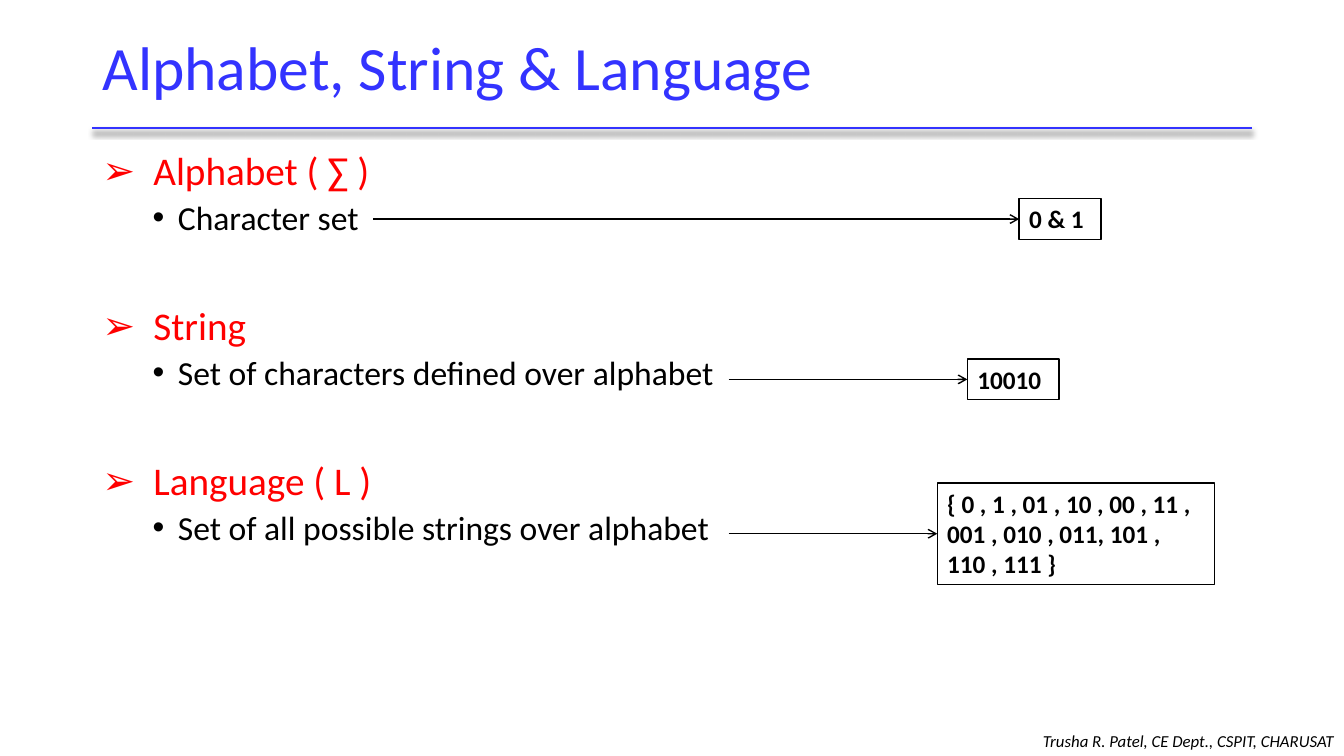
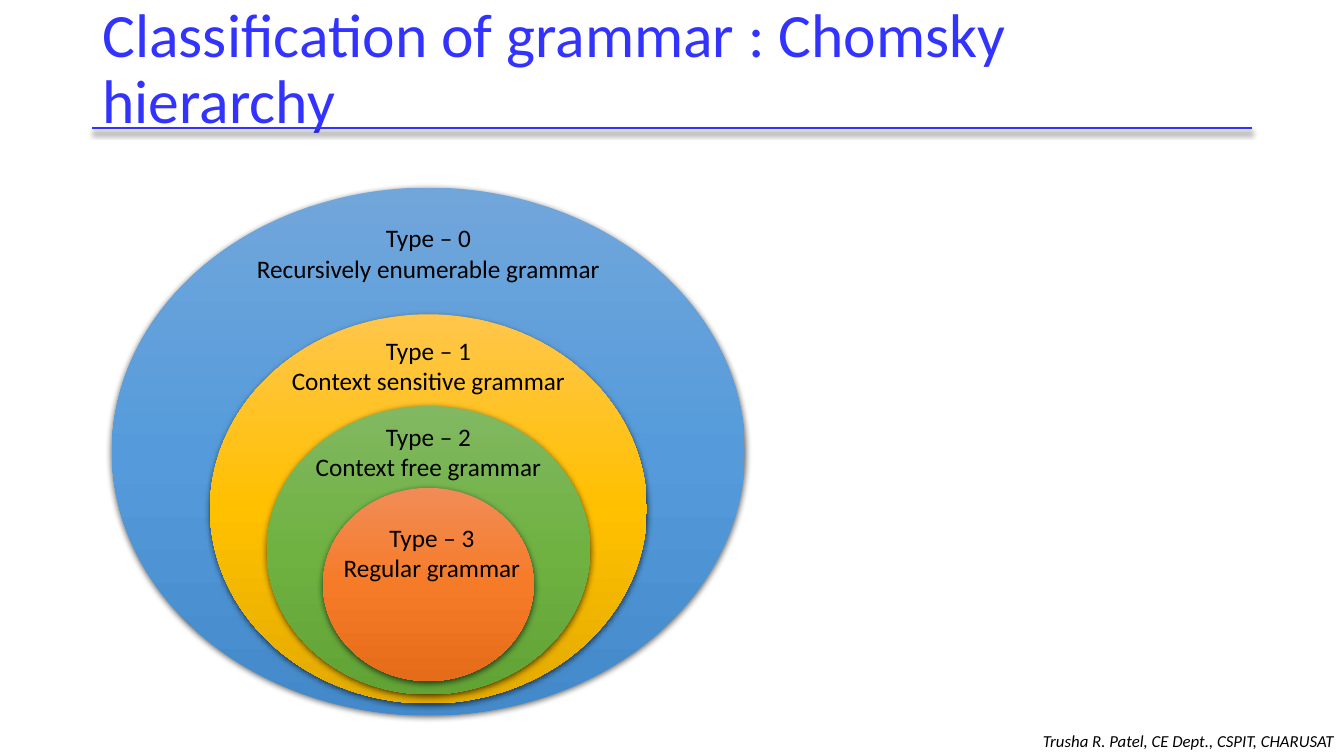
from copy import deepcopy

from lxml import etree
from pptx import Presentation
from pptx.dml.color import RGBColor
from pptx.enum import shapes, text
from pptx.oxml.ns import qn
from pptx.util import Pt

FONT = "Calibri"
BLUE, RED, BLACK, WHITE = "3333FF", "FF0000", "000000", "FFFFFF"
RULE_LEFT, RULE_WIDTH, RULE_TOP = 66, 828, 91.5
FOOTER = "Trusha R. Patel, CE Dept., CSPIT, CHARUSAT"

# heading, explanation
TERMS = [
    ("Alphabet ( ∑ )", "Character set"),
    ("String", "Set of characters defined over alphabet"),
    ("Language ( L )", "Set of all possible strings over alphabet"),
]
# example, left, top, width, height, arrow start
EXAMPLES = [
    ("0 & 1", 728, 142, 58.5, 29, 266.5),
    ("10010", 691, 256.5, 65.5, 29, 520.5),
    ("{ 0 , 1 , 01 , 10 , 00 , 11 , 001 , 010 , 011, 101 , 110 , 111 }",
     669.5, 345, 198, 72.5, 520.5),
]
OVAL_CENTRE = 306
# name, oval top, width and height, label centre and top, gradient
GRAMMARS = [
    ("Recursively enumerable grammar", 134, 452, 377, 306, 155.5,
     ("71A6DB", "559BDB", "448ACA")),
    ("Context sensitive grammar", 224.5, 312, 278, 306, 236,
     ("FFC64B", "FFC000", "E3AB00")),
    ("Context free grammar", 290, 231, 206, 306, 297.5,
     ("81B861", "6FB242", "62A336")),
    ("Regular grammar", 348.5, 150.5, 138, 308.5, 369.5,
     ("F18C57", "F67B28", "E56C19")),
]


def colour(code):
    return RGBColor.from_string(code)


def points(*lengths):
    return [Pt(length) for length in lengths]


def add_xml(parent, tag, **attributes):
    return etree.SubElement(parent, qn(tag), attributes)


def set_effects(shape, opacity=0, blur=0, distance=0):
    """Replace the theme's effects by a downward shadow, or by none."""
    effects = add_xml(shape._element.spPr, "a:effectLst")
    if opacity:
        shadow = add_xml(effects, "a:outerShdw", blurRad=str(Pt(blur)),
                         dist=str(Pt(distance)), dir="5400000",
                         algn="ctr", rotWithShape="0")
        tone = add_xml(shadow, "a:srgbClr", val=BLACK)
        add_xml(tone, "a:alpha", val=str(opacity * 1000))


def set_font(para, size, code=BLACK, bold=False, italic=False):
    font = para.font
    font.name, font.size = FONT, Pt(size)
    font.bold, font.italic = bold, italic
    font.color.rgb = colour(code)


def set_bullet(para, mark, code, margin, hanging):
    props = para._p.get_or_add_pPr()
    props.set("marL", str(Pt(margin)))
    props.set("indent", str(-Pt(hanging)))
    tint = add_xml(props, "a:buClr")
    add_xml(tint, "a:srgbClr", val=code)
    add_xml(props, "a:buFont", typeface="Arial")
    add_xml(props, "a:buChar", char=mark)


def add_text(page, lines, left, top, width, height, size,
             align=text.PP_ALIGN.LEFT, anchor=text.MSO_ANCHOR.TOP, **style):
    box = page.shapes.add_textbox(*points(left, top, width, height))
    frame = box.text_frame
    frame.word_wrap = True
    frame.vertical_anchor = anchor
    frame.text = "\n".join(lines)
    for para in frame.paragraphs:
        para.alignment = align
        set_font(para, size, **style)
    return box


def add_line(page, start, end, code, width):
    line = page.shapes.add_connector(
        shapes.MSO_CONNECTOR.STRAIGHT, *points(*start, *end))
    line.line.color.rgb = colour(code)
    line.line.width = Pt(width)
    return line


def add_arrow(page, start, end):
    arrow = add_line(page, start, end, BLACK, 1)
    add_xml(arrow.line._get_or_add_ln(), "a:tailEnd", type="arrow")
    set_effects(arrow)


def add_page(deck, heading):
    """Add a slide with the shared title, rule and footer."""
    page = deck.slides.add_slide(deck.slide_layouts[5])
    rule = add_line(page, (RULE_LEFT, RULE_TOP),
                    (RULE_LEFT + RULE_WIDTH, RULE_TOP), BLUE, 1.75)
    set_effects(rule, opacity=40, blur=4, distance=3)
    title = page.shapes.title
    title.left, title.top, title.width, title.height = points(
        RULE_LEFT, 14.5, RULE_WIDTH, 72)
    frame = title.text_frame
    frame.text = heading
    frame.auto_size = text.MSO_AUTO_SIZE.NONE
    frame.vertical_anchor = text.MSO_ANCHOR.MIDDLE
    para = frame.paragraphs[0]
    para.alignment = text.PP_ALIGN.LEFT
    para.line_spacing = 0.9
    set_font(para, 44, BLUE)
    add_text(page, [FOOTER], 636, 511, 324, 29, 12, italic=True,
             align=text.PP_ALIGN.RIGHT, anchor=text.MSO_ANCHOR.BOTTOM)
    return page


def add_terms(page):
    lines = [line for term in TERMS for line in term]
    box = add_text(page, lines, RULE_LEFT, 105, RULE_WIDTH, 381, 24)
    for index, para in enumerate(box.text_frame.paragraphs):
        para.line_spacing = 0.9
        if index % 2:
            para.level = 1
            para.space_before = Pt(5)
            look, bullet = (24, BLACK), ("•", BLACK, 54, 18)
        else:
            para.space_before = Pt(49.5 if index else 0)
            look, bullet = (28, RED), ("➢", RED, 36.5, 36.5)
        props = para._p.get_or_add_pPr()
        props.remove(props.find(qn("a:defRPr")))
        set_bullet(para, *bullet)
        set_font(para, *look)


def add_example(page, example, left, top, width, height, arrow_start):
    box = add_text(page, [example], left, top, width, height, 18, bold=True)
    box.fill.solid()
    box.fill.fore_color.rgb = colour(WHITE)
    box.line.color.rgb = colour(BLACK)
    box.line.width = Pt(1)
    middle = top + height / 2
    add_arrow(page, (arrow_start, middle), (left, middle))


def add_oval(page, top, width, height, tones):
    oval = page.shapes.add_shape(
        shapes.MSO_SHAPE.OVAL,
        *points(OVAL_CENTRE - width / 2, top, width, height))
    oval.line.fill.background()
    oval.fill.gradient()
    oval.fill.gradient_angle = 270
    stops = oval._element.spPr.find(".//" + qn("a:gsLst"))
    stops.append(deepcopy(stops[-1]))
    for index, (stop, tone) in enumerate(zip(oval.fill.gradient_stops, tones)):
        stop.position = index / 2
        stop.color.rgb = colour(tone)
    set_effects(oval, opacity=63, blur=4.5, distance=1.5)


def main():
    deck = Presentation()
    deck.slide_width, deck.slide_height = points(960, 540)

    page = add_page(deck, "Alphabet, String & Language")
    add_terms(page)
    for example in EXAMPLES:
        add_example(page, *example)

    page = add_page(deck, "Classification of grammar : Chomsky hierarchy")
    for _, top, width, height, _, _, tones in GRAMMARS:
        add_oval(page, top, width, height, tones)
    label_width = 264
    for level, (name, _, _, _, centre, top, _) in enumerate(GRAMMARS):
        add_text(page, [f"Type – {level}", name], centre - label_width / 2,
                 top, label_width, 51, 18, align=text.PP_ALIGN.CENTER)

    deck.save("out.pptx")


if __name__ == "__main__":
    main()
